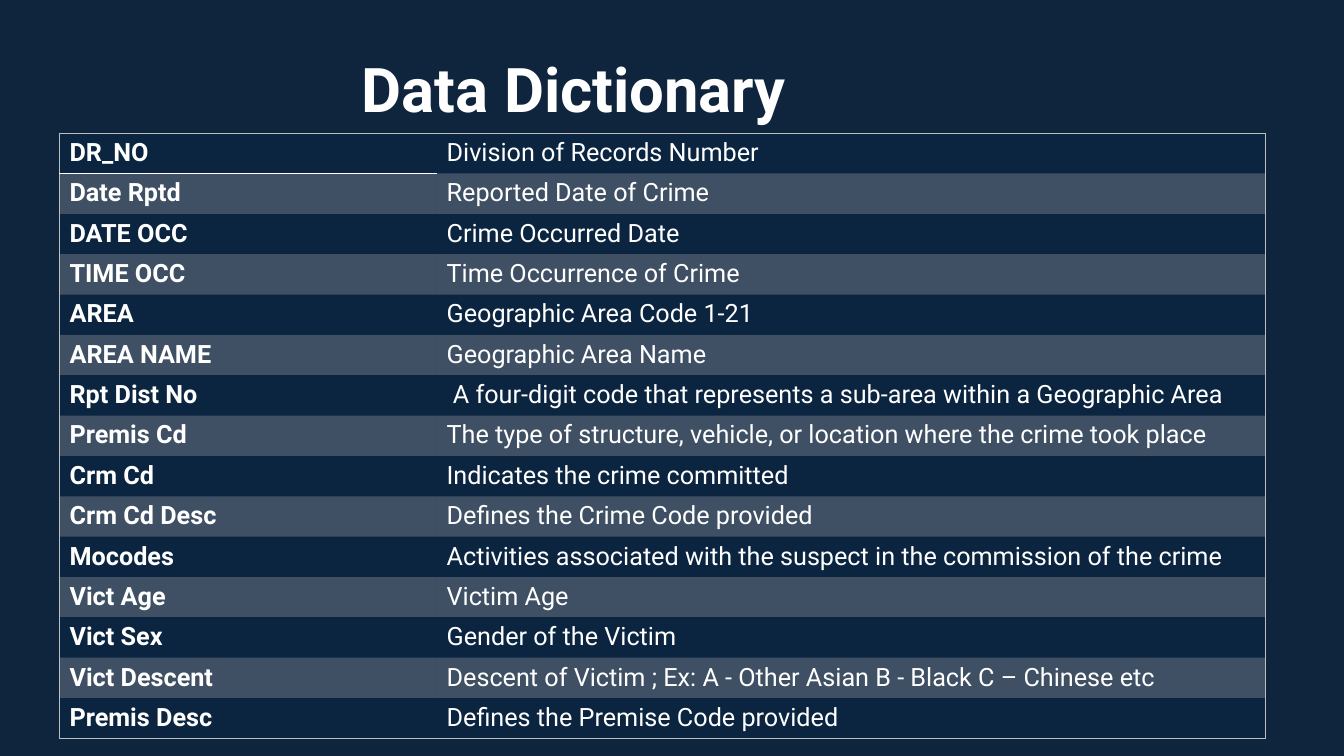
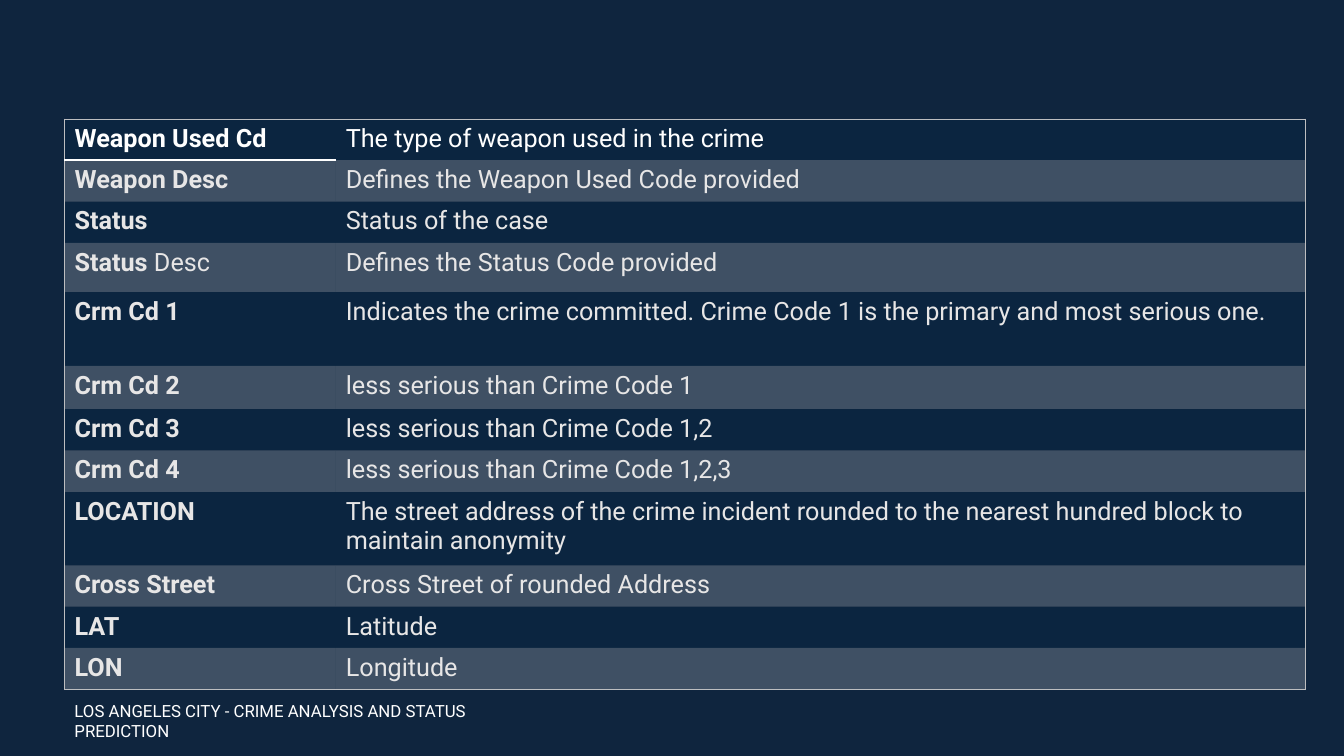
from lxml.etree import SubElement
from pptx import Presentation
from pptx.dml.color import RGBColor
from pptx.enum.text import MSO_ANCHOR
from pptx.oxml.ns import qn
from pptx.util import Inches, Pt

# Shared style
FONT = "Roboto"
NAVY = RGBColor(0x0F, 0x25, 0x3E)
DARK_ROW = RGBColor(0x0B, 0x25, 0x40)
WHITE = RGBColor(0xFF, 0xFF, 0xFF)
LIGHT_GREY = RGBColor(0xE7, 0xE6, 0xE6)
FRAME_GREY = RGBColor(0xBD, 0xBE, 0xC0)
FRAME = (FRAME_GREY, 0.5)
HEADER_RULE = (WHITE, 1.5)
BAND_OPACITY = 20

# Table content: field name and its meaning
CASE_FIELDS = [
    ("DR_NO", "Division of Records Number"),
    ("Date Rptd", "Reported Date of Crime"),
    ("DATE OCC", "Crime Occurred Date"),
    ("TIME OCC", "Time Occurrence of Crime"),
    ("AREA", "Geographic Area Code 1-21"),
    ("AREA NAME", "Geographic Area Name"),
    ("Rpt Dist No", " A four-digit code that represents a sub-area within a Geographic Area"),
    ("Premis Cd", "The type of structure, vehicle, or location where the crime took place"),
    ("Crm Cd", "Indicates the crime committed"),
    ("Crm Cd Desc", "Defines the Crime Code provided"),
    ("Mocodes", "Activities associated with the suspect in the commission of the crime"),
    ("Vict Age", "Victim Age"),
    ("Vict Sex", "Gender of the Victim"),
    ("Vict Descent", "Descent of Victim ; Ex: A - Other Asian B - Black C – Chinese etc"),
    ("Premis Desc", "Defines the Premise Code provided"),
]
# A tuple as field name holds a bold part and a regular part
STATUS_FIELDS = [
    ("Weapon Used Cd", "The type of weapon used in the crime"),
    ("Weapon Desc", "Defines the Weapon Used Code provided"),
    ("Status", "Status of the case"),
    (("Status", " Desc"), "Defines the Status Code provided"),
    ("Crm Cd 1", "Indicates the crime committed. Crime Code 1 is the primary and most serious one."),
    ("Crm Cd 2", "less serious than Crime Code 1"),
    ("Crm Cd 3", "less serious than Crime Code 1,2"),
    ("Crm Cd 4", "less serious than Crime Code 1,2,3"),
    ("LOCATION", "The street address of the crime incident rounded to the nearest "
                 "hundred block to maintain anonymity"),
    ("Cross Street", "Cross Street of rounded Address"),
    ("LAT", "Latitude"),
    ("LON", "Longitude"),
]
STATUS_ROW_HEIGHTS = [0.41, 0.41, 0.41, 0.49, 0.73, 0.43, 0.41, 0.41, 0.73, 0.41, 0.41, 0.41]


def add_text(paragraph, text, size=18, color=WHITE, bold=False):
    """Append one formatted run to a paragraph."""
    run = paragraph.add_run()
    run.text = text
    run.font.name = FONT
    run.font.size = Pt(size)
    run.font.bold = bold
    run.font.color.rgb = color


def set_border(cell, side, line):
    """Draw a (colour, width) line on one side of a cell, or clear it."""
    properties = cell._tc.get_or_add_tcPr()
    border = SubElement(properties, qn(f"a:ln{side}"))
    if line is None:
        border.set("w", "0")
        SubElement(border, qn("a:noFill"))
        return
    color, width = line
    border.set("w", str(Pt(width)))
    fill = SubElement(border, qn("a:solidFill"))
    SubElement(fill, qn("a:srgbClr"), val=str(color))


def fill_cell(cell, color, opacity=100):
    cell.fill.solid()
    cell.fill.fore_color.rgb = color
    if opacity < 100:
        color_element = cell._tc.tcPr.find(f"{qn('a:solidFill')}/{qn('a:srgbClr')}")
        SubElement(color_element, qn("a:alpha"), val=str(opacity * 1000))


class Deck:
    """Holds the presentation, its style and the current slide."""

    def __init__(self):
        self.presentation = Presentation()
        self.presentation.slide_width = Inches(13.33)
        self.presentation.slide_height = Inches(7.5)
        self.slide = None

    def add_slide(self):
        self.slide = self.presentation.slides.add_slide(self.presentation.slide_layouts[6])
        background = self.slide.background.fill
        background.solid()
        background.fore_color.rgb = NAVY

    def add_label(self, text, left, top, width, height, line_spacing=1.0, **text_format):
        shape = self.slide.shapes.add_textbox(
            Inches(left), Inches(top), Inches(width), Inches(height))
        frame = shape.text_frame
        frame.word_wrap = True
        frame.vertical_anchor = MSO_ANCHOR.MIDDLE
        paragraph = frame.paragraphs[0]
        paragraph.line_spacing = line_spacing
        add_text(paragraph, text, **text_format)

    def add_dictionary(self, fields, left, top, column_widths, row_heights, body_color=WHITE):
        shape = self.slide.shapes.add_table(
            len(fields), len(column_widths), Inches(left), Inches(top),
            Inches(sum(column_widths)), Inches(sum(row_heights)))
        table = shape.table
        table.first_row = table.horz_banding = False
        for column, width in zip(table.columns, column_widths):
            column.width = Inches(width)
        for row, height in zip(table.rows, row_heights):
            row.height = Inches(height)

        last_row = len(fields) - 1
        for row_index, (name, meaning) in enumerate(fields):
            color = body_color if row_index else WHITE
            name_cell, meaning_cell = table.cell(row_index, 0), table.cell(row_index, 1)

            # Text
            bold_part, regular_part = name if isinstance(name, tuple) else (name, "")
            paragraph = name_cell.text_frame.paragraphs[0]
            add_text(paragraph, bold_part, color=color, bold=True)
            if regular_part:
                add_text(paragraph, regular_part, color=color)
            add_text(meaning_cell.text_frame.paragraphs[0], meaning, color=color)

            # Outer frame, rule under the first name, banded fill
            for cell in (name_cell, meaning_cell):
                is_name = cell is name_cell
                rule = HEADER_RULE if is_name else None
                set_border(cell, "L", FRAME if is_name else None)
                set_border(cell, "R", None if is_name else FRAME)
                set_border(cell, "T", {0: FRAME, 1: rule}.get(row_index))
                set_border(cell, "B", {0: rule, last_row: FRAME}.get(row_index))
                if row_index % 2:
                    fill_cell(cell, WHITE, BAND_OPACITY)
                else:
                    fill_cell(cell, DARK_ROW)


def main():
    deck = Deck()

    # Slide 1: case and victim fields
    deck.add_slide()
    deck.add_label("Data Dictionary", 3.49, 0.55, 4.78, 0.74,
                   line_spacing=0.9, size=44, bold=True)
    deck.add_dictionary(CASE_FIELDS, 0.59, 1.32, [3.74, 8.22], [0.37] * len(CASE_FIELDS))

    # Slide 2: weapon, status and location fields
    deck.add_slide()
    deck.add_label("LOS ANGELES CITY - CRIME ANALYSIS AND STATUS PREDICTION",
                   0.64, 7.02, 4.41, 0.26, size=12)
    deck.add_dictionary(STATUS_FIELDS, 0.64, 1.18, [2.69, 9.62], STATUS_ROW_HEIGHTS,
                        body_color=LIGHT_GREY)

    deck.presentation.save("out.pptx")


if __name__ == "__main__":
    main()
